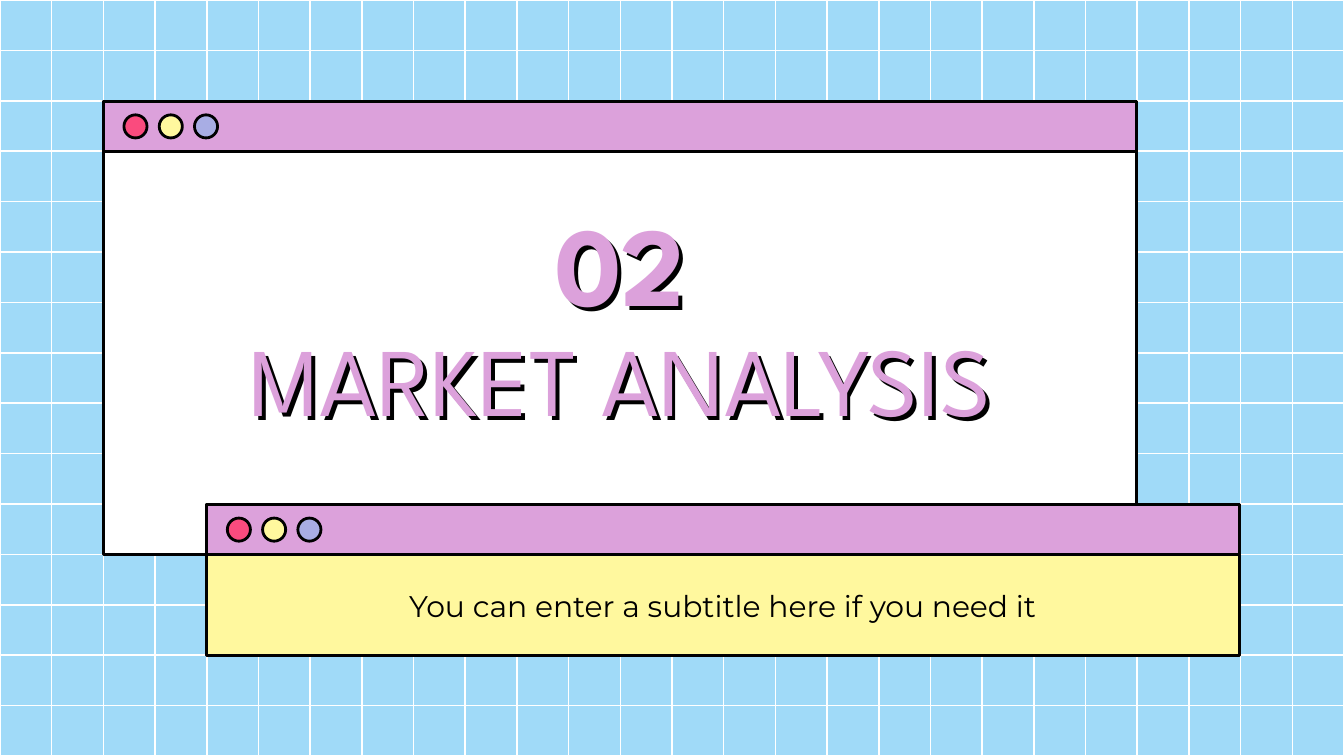
from lxml import etree
from pptx import Presentation
from pptx.dml.color import RGBColor
from pptx.enum import shapes, text
from pptx.oxml.ns import qn
from pptx.util import Pt

TITLE = "MARKET ANALYSIS"
NUMBER = "02"
SUBTITLE = "You can enter a subtitle here if you need it"

THEME = {
    "sky": "A0DAF8", "grid": "FFFFFF", "paper": "FFFFFF", "note": "FFF89E",
    "accent": "DCA1DB", "ink": "000000",
    "dots": ("FA4B7E", "FFF89E", "A8ADE4"),
    "display": "League Spartan", "body": "Montserrat",
    "number_size": 60, "title_size": 52, "subtitle_size": 16,
    "grid_line": 0.81, "outline": 1.5,
}

# Windows in grid cells: column, row, rows high, body colour
WINDOWS = [
    (2, 2, 9, THEME["paper"]),
    (4, 10, 3, THEME["note"]),
]

WIDTH, HEIGHT = 720, 405
COLS, ROWS = 26, 15
COL, ROW = WIDTH / COLS, HEIGHT / ROWS
WINDOW_WIDTH, WINDOW_DROP = 553.5, 0.25
DOT, DOT_LEFT, DOT_STEP = 12.4, 11, 18.9

prs = Presentation()
prs.slide_width, prs.slide_height = Pt(WIDTH), Pt(HEIGHT)
slide = prs.slides.add_slide(prs.slide_layouts[5])


def rgb(color):
    return RGBColor.from_string(color)


def set_line(sp, color, width):
    sp.line.color.rgb = rgb(color)
    sp.line.width = Pt(width)


def add_grid_frame():
    builder = slide.shapes.build_freeform(0, 0)
    corners = [(WIDTH, 0), (WIDTH, HEIGHT), (0, HEIGHT)]
    builder.add_line_segments([(Pt(x), Pt(y)) for x, y in corners], close=True)
    frame = builder.convert_to_shape()
    frame.shadow.inherit = False
    frame.fill.background()
    set_line(frame, THEME["grid"], THEME["grid_line"])


def add_grid_line(x1, y1, x2, y2):
    line = slide.shapes.add_connector(
        shapes.MSO_CONNECTOR.STRAIGHT, Pt(x1), Pt(y1), Pt(x2), Pt(y2))
    set_line(line, THEME["grid"], THEME["grid_line"])
    etree.SubElement(line.element.spPr, qn("a:effectLst"))


def add_outlined(kind, x, y, w, h, fill):
    sp = slide.shapes.add_shape(kind, Pt(x), Pt(y), Pt(w), Pt(h))
    sp.shadow.inherit = False
    sp.fill.solid()
    sp.fill.fore_color.rgb = rgb(fill)
    set_line(sp, THEME["ink"], THEME["outline"])


def add_window(col, row, rows, fill):
    x, y = col * COL, row * ROW + WINDOW_DROP
    rect, oval = shapes.MSO_SHAPE.RECTANGLE, shapes.MSO_SHAPE.OVAL
    add_outlined(rect, x, y, WINDOW_WIDTH, rows * ROW, fill)
    add_outlined(rect, x, y, WINDOW_WIDTH, ROW, THEME["accent"])
    for i, color in enumerate(THEME["dots"]):
        add_outlined(oval, x + DOT_LEFT + i * DOT_STEP, y + (ROW - DOT) / 2,
                     DOT, DOT, color)


def write(sp, content, box, *, size, font, color, bold=False, shadow=False):
    sp.left, sp.top, sp.width, sp.height = map(Pt, box)
    tf = sp.text_frame
    tf.word_wrap = True
    tf.auto_size = text.MSO_AUTO_SIZE.NONE
    tf.vertical_anchor = text.MSO_ANCHOR.MIDDLE
    tf.margin_left = tf.margin_right = 0
    tf.margin_top = tf.margin_bottom = Pt(7.2)
    p = tf.paragraphs[0]
    p.alignment = text.PP_ALIGN.CENTER
    r = p.add_run()
    r.text = content
    r.font.name, r.font.size, r.font.bold = font, Pt(size), bold
    r.font.color.rgb = rgb(color)
    if shadow:
        add_hard_shadow(sp)


def add_hard_shadow(sp):
    """Cast a solid shadow down and to the right, without blur."""
    effects = etree.SubElement(sp.element.spPr, qn("a:effectLst"))
    cast = etree.SubElement(effects, qn("a:outerShdw"), blurRad="0",
                            dist=str(Pt(3)), dir="2700000",
                            algn="bl", rotWithShape="0")
    etree.SubElement(cast, qn("a:srgbClr"), val=THEME["ink"])


slide.background.fill.solid()
slide.background.fill.fore_color.rgb = rgb(THEME["sky"])
add_grid_frame()
for i in range(1, ROWS):
    add_grid_line(0, i * ROW, WIDTH, i * ROW)
for i in range(1, COLS):
    add_grid_line(i * COL, 0, i * COL, HEIGHT)
for window in WINDOWS:
    add_window(*window)

write(slide.shapes.add_textbox(0, 0, 0, 0), SUBTITLE, (111.6, 310.7, 551.5, 27.4),
      size=THEME["subtitle_size"], font=THEME["body"], color=THEME["ink"])
title = slide.shapes.title
title.element.getparent().append(title.element)  # bring in front of the windows
write(title, TITLE, (56.6, 167, 551.5, 70.6), size=THEME["title_size"],
      font=THEME["display"], color=THEME["accent"], shadow=True)
write(slide.shapes.add_textbox(0, 0, 0, 0), NUMBER, (292.3, 113.8, 79.9, 53.3),
      size=THEME["number_size"], font=THEME["display"], color=THEME["accent"],
      bold=True, shadow=True)

prs.save("out.pptx")
